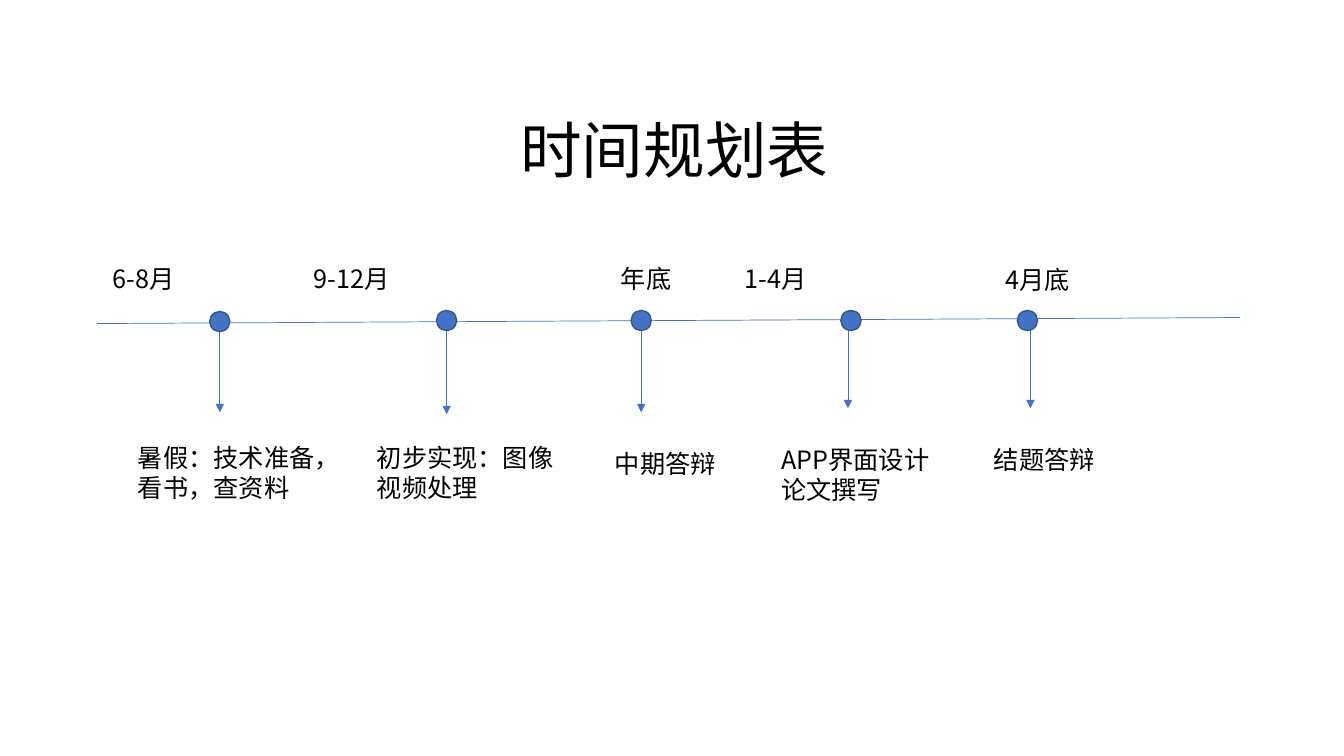
from lxml.etree import SubElement
from pptx import Presentation
from pptx.dml.color import RGBColor
from pptx.enum.shapes import MSO_CONNECTOR, MSO_SHAPE
from pptx.enum.text import MSO_ANCHOR, PP_ALIGN
from pptx.oxml.ns import qn
from pptx.util import Inches, Pt

FONT = "Noto Sans CJK SC"
BLUE, DARK_BLUE, BLACK = "4472C4", "325491", "000000"
DOT, LABEL_W = 0.2, 2.11

# Per milestone: dot (x, y), arrow (x, y), month (x, y, text), task (x, y, text)
MILESTONES = [
    ((2.08, 3.09), (2.18, 3.19), (1.02, 2.56, "6-8月"),
     (1.27, 4.34, "暑假：技术准备，看书，查资料")),
    ((4.33, 3.08), (4.43, 3.21), (3.01, 2.56, "9-12月"),
     (3.64, 4.34, "初步实现：图像视频处理")),
    ((6.26, 3.08), (6.36, 3.19), (6.06, 2.56, "年底"),
     (6.0, 4.4, "中期答辩")),
    ((8.34, 3.08), (8.41, 3.15), (7.29, 2.56, "1-4月"),
     (7.65, 4.36, "APP界面设计\n论文撰写")),
    ((10.09, 3.08), (10.22, 3.15), (9.87, 2.57, "4月底"),
     (9.76, 4.36, "结题答辩")),
]


def rgb(value):
    """Turn a hex string into a colour."""
    return RGBColor.from_string(value)


def place(sp, x, y, w, h):
    """Move and size a shape, in inches."""
    sp.left, sp.top, sp.width, sp.height = map(Inches, (x, y, w, h))


def write(sp, text, size):
    """Set left-aligned text and format its runs."""
    tf = sp.text_frame
    tf.word_wrap = True
    tf.vertical_anchor = MSO_ANCHOR.TOP
    tf.text = text
    for p in tf.paragraphs:
        p.alignment = PP_ALIGN.LEFT
        for r in p.runs:
            r.font.size = Pt(size)
            r.font.name = FONT
            r.font.color.rgb = rgb(BLACK)
            SubElement(r._r.get_or_add_rPr(), qn("a:ea"), typeface=FONT)


def add_label(s, x, y, text):
    """Add a small text box with its corner at x, y."""
    h = 0.71 if len(text) > 8 else 0.4
    sp = s.shapes.add_textbox(*map(Inches, (x, y, LABEL_W, h)))
    write(sp, text, 18)


def add_line(s, x1, y1, x2, y2, arrow=False):
    """Add a thin blue line, with an arrowhead at its end if asked."""
    sp = s.shapes.add_connector(MSO_CONNECTOR.STRAIGHT,
                                *map(Inches, (x1, y1, x2, y2)))
    sp.line.color.rgb = rgb(BLUE)
    sp.line.width = Pt(0.5)
    if arrow:
        SubElement(sp.line._get_or_add_ln(), qn("a:tailEnd"), type="triangle")
    SubElement(sp._element.spPr, qn("a:effectLst"))


def add_dot(s, x, y):
    """Add a round milestone marker."""
    sp = s.shapes.add_shape(MSO_SHAPE.OVAL, *map(Inches, (x, y, DOT, DOT)))
    sp.shadow.inherit = False
    sp.fill.solid()
    sp.fill.fore_color.rgb = rgb(BLUE)
    sp.line.color.rgb = rgb(DARK_BLUE)
    sp.line.width = Pt(1)


def add_title(s, x, y, w, h):
    """Fill the title placeholder within the given box."""
    place(s.shapes.title, x, y, w, h)
    write(s.shapes.title, "时间规划表", 44)


def add_timeline(s, x, y, w, h):
    """Draw the axis and its milestones within the given box."""
    add_line(s, x, y + 0.65, x + w, y + 0.59)
    for dot, arrow, month, task in MILESTONES:
        ax, ay = arrow
        add_line(s, ax, ay, ax, ay + 0.9, arrow=True)
        add_dot(s, *dot)
        add_label(s, *month)
        add_label(s, *task)


prs = Presentation()
prs.slide_width, prs.slide_height = Inches(13.33), Inches(7.5)
s = prs.slides.add_slide(prs.slide_layouts[5])
add_title(s, 5.06, 1.06, 3.35, 0.84)
add_timeline(s, 0.96, 2.56, 11.34, 2.51)
prs.save("out.pptx")
